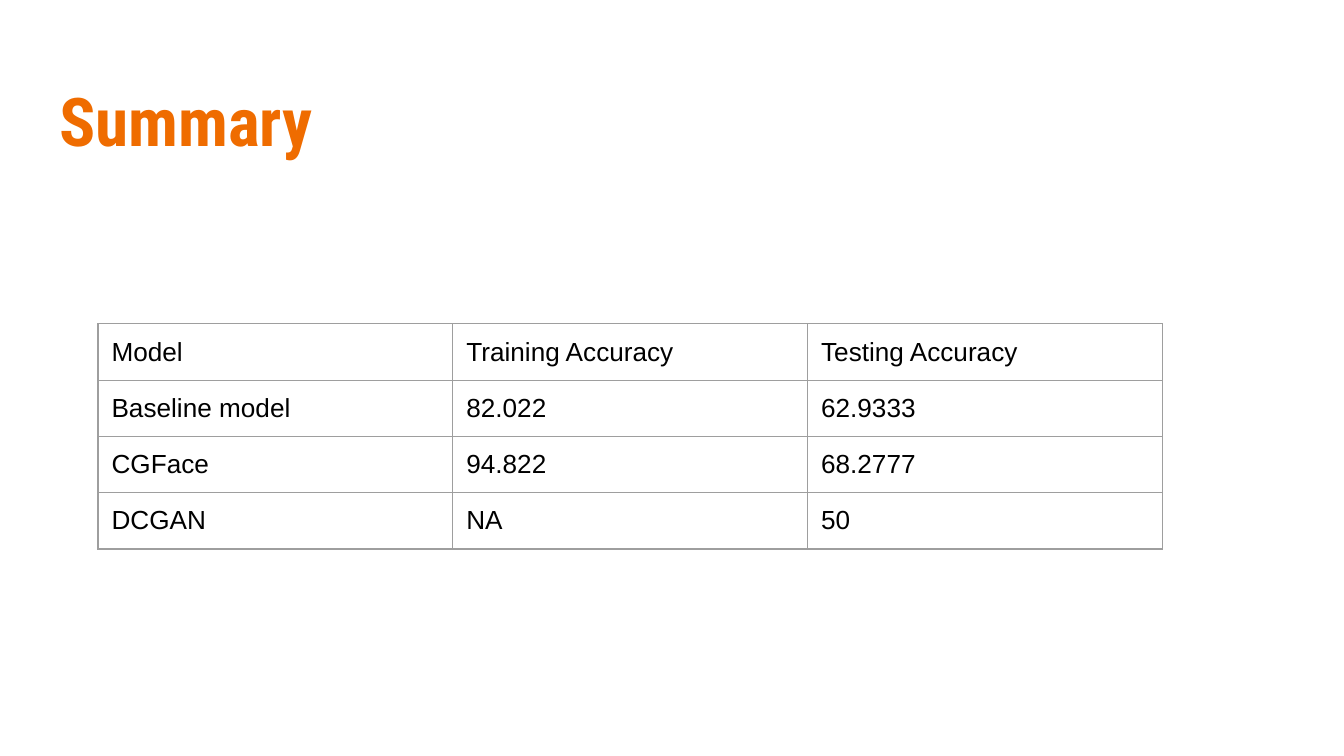
from lxml import etree
from pptx import Presentation
from pptx.dml.color import RGBColor
from pptx.enum.text import MSO_ANCHOR, PP_ALIGN
from pptx.oxml.ns import qn
from pptx.util import Inches, Pt

LEFT, TOP = PP_ALIGN.LEFT, MSO_ANCHOR.TOP
ORANGE = RGBColor(0xEF, 0x6C, 0x00)
BLACK = RGBColor(0x00, 0x00, 0x00)
GREY = RGBColor(0x9E, 0x9E, 0x9E)
INSET = Inches(0.1)
COLUMN_WIDTH, ROW_HEIGHT = Inches(2.64), Pt(30)


def write(frame, text, *, font, size, color, bold=False):
    """Put one left-aligned, formatted paragraph into a text frame."""
    paragraph = frame.paragraphs[0]
    paragraph.alignment = LEFT
    run = paragraph.add_run()
    run.text = text
    run.font.name = font
    run.font.size = Pt(size)
    run.font.bold = bold
    run.font.color.rgb = color


def add_borders(cell):
    """Draw a thin grey line on all four sides of a cell."""
    properties = cell._tc.get_or_add_tcPr()
    for index, side in enumerate(("a:lnL", "a:lnR", "a:lnT", "a:lnB")):
        line = etree.Element(qn(side), w=str(Pt(0.75)))
        fill = etree.SubElement(line, qn("a:solidFill"))
        etree.SubElement(fill, qn("a:srgbClr"), val=str(GREY))
        properties.insert(index, line)


# Widescreen slide, 16:9
prs = Presentation()
prs.slide_width = Inches(10)
prs.slide_height = prs.slide_width * 9 // 16
slide = prs.slides.add_slide(prs.slide_layouts[5])

# Title
title = slide.shapes.title
title.left, title.top = Inches(0.34), Inches(0.49)
title.width, title.height = Inches(9.32), Inches(0.77)
heading = title.text_frame
heading.margin_left = heading.margin_right = INSET
heading.margin_top = heading.margin_bottom = INSET
heading.vertical_anchor = TOP
write(heading, "Summary", font="Roboto Condensed", size=36, color=ORANGE, bold=True)

# Accuracy table
results = [
    ("Model", "Training Accuracy", "Testing Accuracy"),
    ("Baseline model", "82.022", "62.9333"),
    ("CGFace", "94.822", "68.2777"),
    ("DCGAN", "NA", "50"),
]
row_count, column_count = len(results), len(results[0])
accuracy = slide.shapes.add_table(
    row_count, column_count, Inches(0.73), Inches(2.41),
    COLUMN_WIDTH * column_count, ROW_HEIGHT * row_count).table
accuracy.first_row = accuracy.horz_banding = False

for row, values in enumerate(results):
    for column, value in enumerate(values):
        cell = accuracy.cell(row, column)
        cell.margin_left = cell.margin_right = INSET
        cell.margin_top = cell.margin_bottom = INSET
        cell.vertical_anchor = TOP
        cell.fill.background()
        add_borders(cell)
        write(cell.text_frame, value, font="Arial", size=14, color=BLACK)

prs.save("out.pptx")
